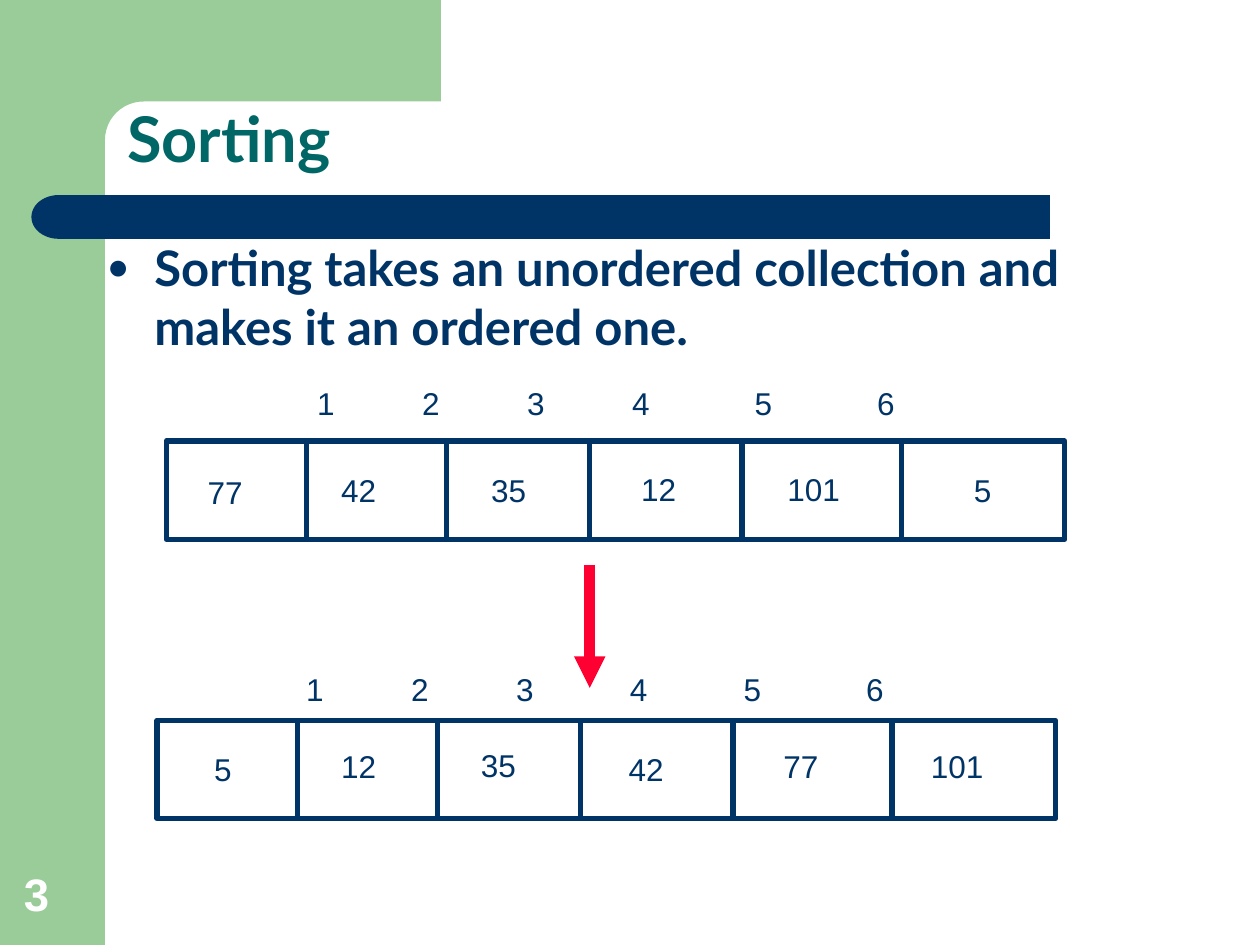
from dataclasses import dataclass
from math import cos, pi, sin

from lxml import etree
from pptx import Presentation
from pptx.dml.color import RGBColor
from pptx.enum.shapes import MSO_CONNECTOR, MSO_SHAPE
from pptx.enum.text import MSO_ANCHOR, MSO_AUTO_SIZE, PP_ALIGN
from pptx.oxml.ns import qn
from pptx.util import Pt

NAVY = RGBColor(0x00, 0x33, 0x66)
TEAL = RGBColor(0x00, 0x66, 0x66)
GREEN = RGBColor(0x99, 0xCC, 0x99)
RED = RGBColor(0xFF, 0x00, 0x33)
WHITE = RGBColor(0xFF, 0xFF, 0xFF)

STRAIGHT = MSO_CONNECTOR.STRAIGHT
RECTANGLE = MSO_SHAPE.RECTANGLE
ROUNDED = MSO_SHAPE.ROUNDED_RECTANGLE
DELAY = MSO_SHAPE.FLOWCHART_DELAY
TOP, BOTTOM = MSO_ANCHOR.TOP, MSO_ANCHOR.BOTTOM
LEFT = PP_ALIGN.LEFT
NO_AUTOFIT = MSO_AUTO_SIZE.NONE

FRAME_WIDTH, FRAME_HEIGHT = 513.4, 56.2
DIVIDERS = (80, 160, 242, 329, 420)
LABEL_HEIGHT = 29
DIGIT_WIDTH = 10


@dataclass(frozen=True)
class Value:
    text: str
    left: float
    top: float


@dataclass(frozen=True)
class ArrayRow:
    left: float
    top: float
    values: tuple[Value, ...]
    index_left: float
    index_top: float
    index_tabs: tuple[float, ...]


UNSORTED = ArrayRow(
    95, 252,
    (Value("77", 111.6, 267), Value("42", 187.9, 265.7),
     Value("35", 273.6, 265.7), Value("12", 359.3, 265),
     Value("101", 442.8, 265), Value("5", 549.4, 265.7)),
    174.2, 216, (60, 120, 180, 250, 320),
)
SORTED = ArrayRow(
    89.8, 411.6,
    (Value("5", 115.2, 424.8), Value("12", 187.9, 423.4),
     Value("35", 267.8, 422.6), Value("42", 352.1, 424.8),
     Value("77", 440.6, 423.4), Value("101", 524.9, 423.4)),
    167.8, 379.4, (60, 120, 185, 250, 320),
)


def place(shape, left: float, top: float, width: float, height: float) -> None:
    shape.left, shape.top = Pt(left), Pt(top)
    shape.width, shape.height = Pt(width), Pt(height)


def write(shape, text: str, *, size: float, color: RGBColor, font: str = "Arial",
          bold: bool = False, anchor=TOP, wrap: bool = True,
          spacing: float = 1.0, tabs: tuple[float, ...] = ()) -> None:
    frame = shape.text_frame
    frame.auto_size = NO_AUTOFIT
    frame.word_wrap = wrap
    frame.vertical_anchor = anchor
    paragraph = frame.paragraphs[0]
    paragraph.alignment = LEFT
    paragraph.line_spacing = spacing
    paragraph.space_before = Pt(0)
    if tabs:
        properties = paragraph._p.get_or_add_pPr()
        stops = etree.SubElement(properties, qn("a:tabLst"))
        for position in tabs:
            etree.SubElement(stops, qn("a:tab"), pos=str(Pt(position)), algn="l")
    run = paragraph.add_run()
    run.text = text
    run.font.name = font
    run.font.size = Pt(size)
    run.font.bold = bold
    run.font.color.rgb = color


def add_bullet(paragraph, color: RGBColor, indent: float) -> None:
    properties = paragraph._p.get_or_add_pPr()
    properties.set("marL", str(Pt(indent)))
    properties.set("indent", str(-Pt(indent)))
    bullet_color = etree.SubElement(properties, qn("a:buClr"))
    etree.SubElement(bullet_color, qn("a:srgbClr"), val=str(color))
    etree.SubElement(properties, qn("a:buSzPct"), val="75000")
    etree.SubElement(properties, qn("a:buFont"), typeface="Arial")
    etree.SubElement(properties, qn("a:buChar"), char="●")


def paint(shape, color: RGBColor) -> None:
    shape.shadow.inherit = False
    shape.fill.solid()
    shape.fill.fore_color.rgb = color
    shape.line.fill.background()


def add_block(shapes, kind, color: RGBColor, left: float, top: float,
              width: float, height: float):
    block = shapes.add_shape(kind, Pt(left), Pt(top), Pt(width), Pt(height))
    paint(block, color)
    return block


def add_label(shapes, text: str, left: float, top: float, width: float,
              height: float = LABEL_HEIGHT, **text_format) -> None:
    label = shapes.add_textbox(Pt(left), Pt(top), Pt(width), Pt(height))
    write(label, text, **text_format)


def add_vertical(shapes, x: float, top: float, bottom: float,
                 color: RGBColor, width: float):
    line = shapes.add_connector(STRAIGHT, Pt(x), Pt(top), Pt(x), Pt(bottom))
    line.line.color.rgb = color
    line.line.width = Pt(width)
    etree.SubElement(line._element.spPr, qn("a:effectLst"))
    return line


def add_backdrop(shapes) -> None:
    add_block(shapes, RECTANGLE, GREEN, 0, 0, 60, 540)
    radius, steps = 22, 12
    angles = [pi / 2 * step / steps for step in range(steps + 1)]
    corner = [(82 - radius * sin(a), 80 - radius * cos(a)) for a in angles]
    outline = [(252, 0), (252, 58), *corner, (60, 90), (36, 90), (36, 0)]
    points = [(Pt(x), Pt(y)) for x, y in outline]
    builder = shapes.build_freeform(*points[0])
    builder.add_line_segments(points[1:], close=True)
    paint(builder.convert_to_shape(), GREEN)
    bar = add_block(shapes, ROUNDED, NAVY, 48, 111.5, 552, 25)
    bar.adjustments[0] = 0
    cap = add_block(shapes, DELAY, NAVY, 18, 111.5, 31, 25)
    cap._element.spPr.find(qn("a:xfrm")).set("flipH", "1")


def add_array(shapes, row: ArrayRow) -> None:
    frame = add_block(shapes, RECTANGLE, WHITE, row.left, row.top,
                      FRAME_WIDTH, FRAME_HEIGHT)
    frame.fill.background()
    frame.line.color.rgb = NAVY
    frame.line.width = Pt(3)
    for offset in DIVIDERS:
        add_vertical(shapes, row.left + offset, row.top,
                     row.top + FRAME_HEIGHT, NAVY, 3)
    for value in row.values:
        width = 14.4 + DIGIT_WIDTH * len(value.text)
        add_label(shapes, value.text, value.left, value.top, width,
                  size=18, color=NAVY, wrap=False)
    indexes = "\t".join(str(n + 1) for n in range(len(row.values)))
    add_label(shapes, indexes, row.index_left, row.index_top, 345,
              size=18, color=NAVY, tabs=row.index_tabs)


def main() -> None:
    deck = Presentation()
    deck.slide_width, deck.slide_height = Pt(720), Pt(540)
    slide = deck.slides.add_slide(deck.slide_layouts[1])
    shapes = slide.shapes
    title, statement = shapes.title, slide.placeholders[1]

    add_backdrop(shapes)
    for placeholder in (title, statement):
        shapes.element.append(placeholder.element)
    place(title, 65.5, 26, 612.7, 78.5)
    write(title, "Sorting", size=36, color=TEAL, font="Lato", bold=True,
          anchor=BOTTOM, spacing=0.9)
    place(statement, 54, 132, 612, 348)
    add_bullet(statement.text_frame.paragraphs[0], NAVY, 27)
    write(statement,
          "Sorting takes an unordered collection and makes it an ordered one.",
          size=28, color=NAVY, font="Lato", bold=True)

    add_array(shapes, UNSORTED)
    add_array(shapes, SORTED)
    arrow = add_vertical(shapes, 337, 322.6, 393.1, RED, 6)
    etree.SubElement(arrow.line._get_or_add_ln(), qn("a:tailEnd"), type="triangle")
    add_label(shapes, "3", 6.5, 491.8, 46, 38, size=26, color=WHITE,
              bold=True, anchor=BOTTOM)
    deck.save("out.pptx")


if __name__ == "__main__":
    main()
